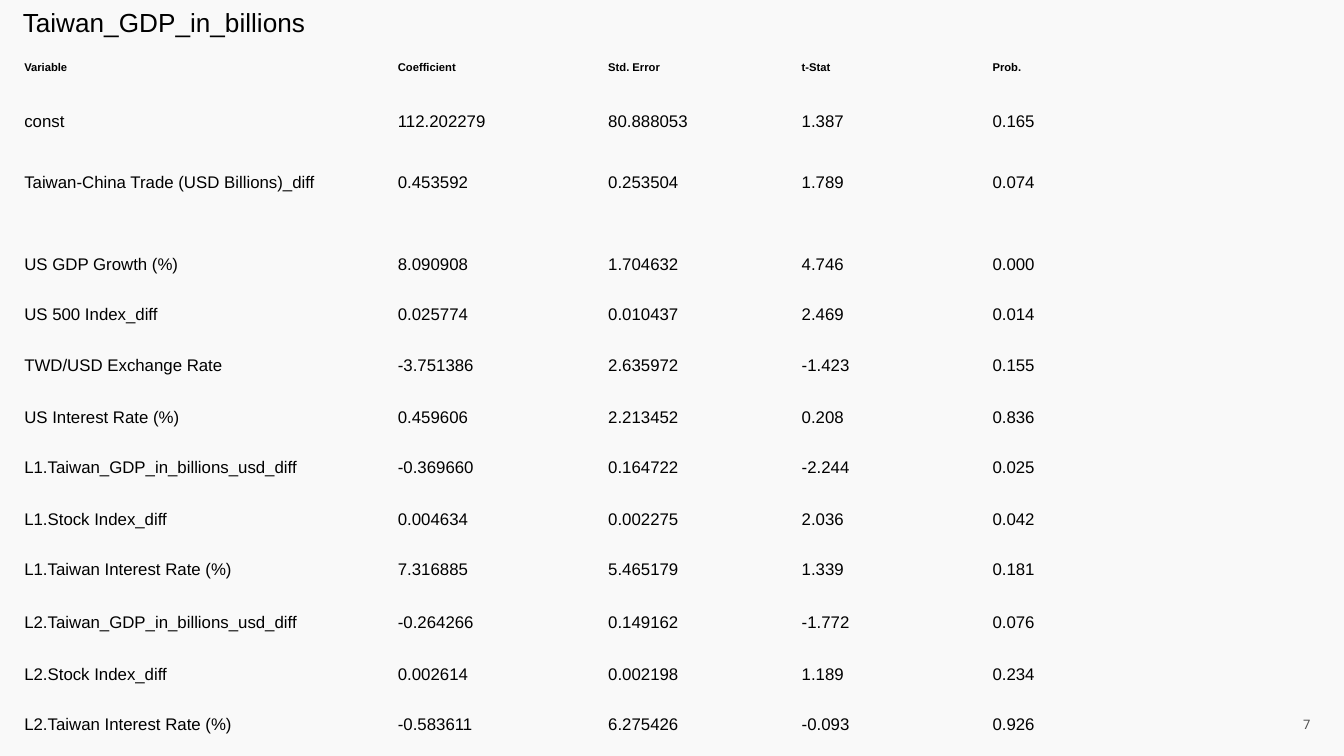
from pptx import Presentation
from pptx.dml.color import RGBColor
from pptx.enum.text import MSO_ANCHOR, PP_ALIGN
from pptx.oxml.ns import qn
from pptx.util import Pt

TOP = MSO_ANCHOR.TOP
LEFT, RIGHT = PP_ALIGN.LEFT, PP_ALIGN.RIGHT
TITLE_ONLY = 5
NO_GRID_STYLE = "{2D5ABB26-0587-4C30-8999-92F81FD0307C}"
INSET = 7.2

COLUMN_WIDTHS = [200.16, 112.7, 103.68, 102.24, 144.72]
HEADER_ROW, ROW, TALL_ROW = 27.2, 26.7, 28
ROW_HEIGHTS = [HEADER_ROW, 32.6, 43.9, ROW, ROW, TALL_ROW, ROW, TALL_ROW, ROW,
               TALL_ROW, TALL_ROW, ROW, TALL_ROW]
HEADER = ["Variable", "Coefficient", "Std. Error", "t-Stat", "Prob."]
ESTIMATES = [
    ["const", "112.202279", "80.888053", "1.387", "0.165"],
    ["Taiwan-China Trade (USD Billions)_diff", "0.453592", "0.253504", "1.789", "0.074"],
    ["US GDP Growth (%)", "8.090908", "1.704632", "4.746", "0.000"],
    ["US 500 Index_diff", "0.025774", "0.010437", "2.469", "0.014"],
    ["TWD/USD Exchange Rate", "-3.751386", "2.635972", "-1.423", "0.155"],
    ["US Interest Rate (%)", "0.459606", "2.213452", "0.208", "0.836"],
    ["L1.Taiwan_GDP_in_billions_usd_diff", "-0.369660", "0.164722", "-2.244", "0.025"],
    ["L1.Stock Index_diff", "0.004634", "0.002275", "2.036", "0.042"],
    ["L1.Taiwan Interest Rate (%)", "7.316885", "5.465179", "1.339", "0.181"],
    ["L2.Taiwan_GDP_in_billions_usd_diff", "-0.264266", "0.149162", "-1.772", "0.076"],
    ["L2.Stock Index_diff", "0.002614", "0.002198", "1.189", "0.234"],
    ["L2.Taiwan Interest Rate (%)", "-0.583611", "6.275426", "-0.093", "0.926"],
]


def rgb(value):
    return RGBColor.from_string(value)


def write(tf, text, size=9, font="Arial", color="000000", bold=False,
          align=LEFT, spacing=1.0):
    p = tf.paragraphs[0]
    p.alignment = align
    p.line_spacing = spacing
    r = p.add_run()
    r.text = text
    r.font.size = Pt(size)
    r.font.name = font
    r.font.bold = bold
    r.font.color.rgb = rgb(color)


def set_frame(holder, side=INSET, top=INSET):
    holder.margin_left = holder.margin_right = Pt(side)
    holder.margin_top, holder.margin_bottom = Pt(top), Pt(INSET)
    holder.vertical_anchor = TOP


def add_title(s, text):
    sp = s.shapes.title
    sp.left, sp.top, sp.width, sp.height = Pt(5), Pt(-3.6), Pt(236), Pt(31.7)
    tf = sp.text_frame
    set_frame(tf)
    tf.word_wrap = True
    write(tf, text, size=14)


def add_page_number(s, text):
    tf = s.shapes.add_textbox(Pt(648), Pt(378), Pt(54), Pt(16.6)).text_frame
    set_frame(tf, side=0, top=10.2)
    tf.word_wrap = True
    write(tf, text, size=7, font="Roboto", color="4E4E4E", align=RIGHT)


def add_estimates_table(s, rows):
    frame = s.shapes.add_table(len(rows), len(HEADER), Pt(5.8), Pt(24.5),
                               Pt(sum(COLUMN_WIDTHS)), Pt(sum(ROW_HEIGHTS)))
    frame.element.find(".//" + qn("a:tableStyleId")).text = NO_GRID_STYLE
    table = frame.table
    table.first_row = table.horz_banding = False
    for column, width in zip(table.columns, COLUMN_WIDTHS):
        column.width = Pt(width)
    for i, (row, height) in enumerate(zip(rows, ROW_HEIGHTS)):
        table.rows[i].height = Pt(height)
        for j, text in enumerate(row):
            cell = table.cell(i, j)
            cell.fill.background()
            set_frame(cell)
            write(cell.text_frame, text, size=9 if i else 6, bold=i == 0,
                  spacing=1.15)


def main():
    prs = Presentation()
    prs.slide_width, prs.slide_height = Pt(720), Pt(405)
    s = prs.slides.add_slide(prs.slide_layouts[TITLE_ONLY])
    s.background.fill.solid()
    s.background.fill.fore_color.rgb = rgb("F9F9F9")
    add_page_number(s, "7")
    add_estimates_table(s, [HEADER] + ESTIMATES)
    add_title(s, "Taiwan_GDP_in_billions")
    prs.save("out.pptx")


if __name__ == "__main__":
    main()
